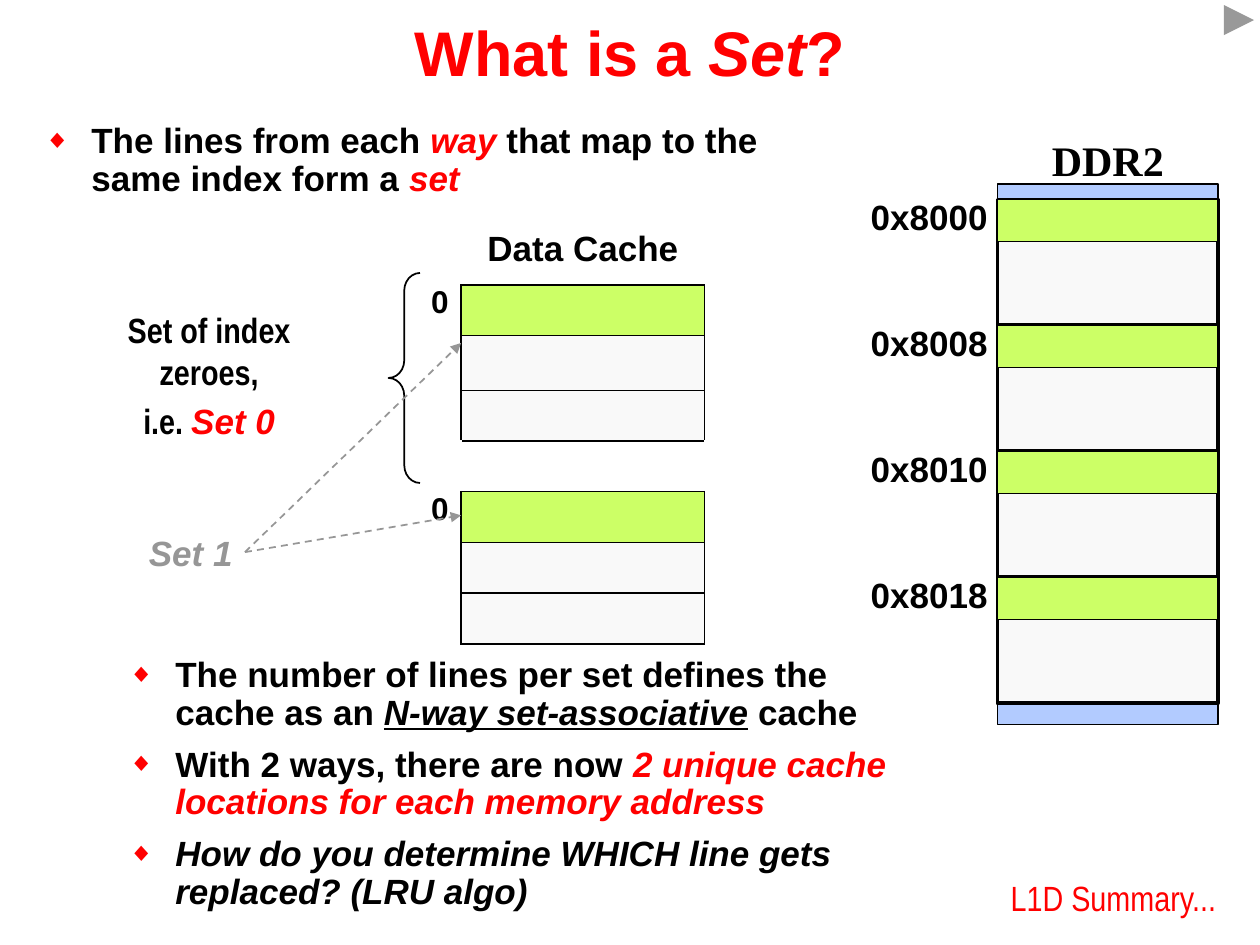
from dataclasses import dataclass

from lxml import etree
from pptx import Presentation
from pptx.dml.color import RGBColor
from pptx.enum import dml, shapes, text
from pptx.oxml import ns
from pptx.util import Pt

RED = RGBColor(0xFF, 0x00, 0x00)
BLACK = RGBColor(0x00, 0x00, 0x00)
WHITE = RGBColor(0xFF, 0xFF, 0xFF)
GRAY = RGBColor(0x96, 0x96, 0x96)
BLUE = RGBColor(0x66, 0x99, 0xFF)
GREEN = RGBColor(0xCC, 0xFF, 0x66)
PALE = RGBColor(0xF9, 0xF9, 0xF9)

CENTER, RIGHT = text.PP_ALIGN.CENTER, text.PP_ALIGN.RIGHT
TOP, MIDDLE, BOTTOM = (text.MSO_ANCHOR.TOP, text.MSO_ANCHOR.MIDDLE,
                       text.MSO_ANCHOR.BOTTOM)


@dataclass(frozen=True)
class Box:
    left: float
    top: float
    width: float
    height: float

    def emu(self) -> tuple:
        return Pt(self.left), Pt(self.top), Pt(self.width), Pt(self.height)


@dataclass(frozen=True)
class Span:
    words: str
    color: RGBColor | None = None
    italic: bool | None = None
    underline: bool | None = None
    face: str | None = None


@dataclass(frozen=True)
class Style:
    size: float = 20
    face: str = "Arial"
    color: RGBColor = BLACK
    bold: bool = True
    align: text.PP_ALIGN | None = CENTER
    spacing: float = 1.0


BULLET = Style(align=None, spacing=0.9)
TIGHT = Style(spacing=0.8)


def child(parent, tag: str, **attributes: str):
    return etree.SubElement(parent, ns.qn(tag), attributes)


def write(paragraph, spans: list[Span], style: Style, before: float = 0) -> None:
    paragraph.alignment = style.align
    paragraph.line_spacing = style.spacing
    paragraph.space_before = Pt(before)
    font = paragraph.font
    font.size, font.name, font.bold = Pt(style.size), style.face, style.bold
    font.color.rgb = style.color
    for span in spans:
        run = paragraph.add_run()
        run.text = span.words
        run.font.italic, run.font.underline = span.italic, span.underline
        if span.color is not None:
            run.font.color.rgb = span.color
        if span.face:
            run.font.name = span.face


def add_label(slide, box: Box, spans: list[Span], style: Style,
              anchor=TOP, inset: bool = True):
    label = slide.shapes.add_textbox(*box.emu())
    frame = label.text_frame
    frame.word_wrap, frame.vertical_anchor = False, anchor
    if not inset:
        frame.margin_left = frame.margin_right = 0
        frame.margin_top = frame.margin_bottom = 0
    write(frame.paragraphs[0], spans, style)
    return label


def fill_bullets(body, box: Box, items: list[list[Span]]) -> None:
    body.left, body.top, body.width, body.height = box.emu()
    frame = body.text_frame
    frame.auto_size = text.MSO_AUTO_SIZE.NONE
    for i, spans in enumerate(items):
        paragraph = frame.add_paragraph() if i else frame.paragraphs[0]
        props = paragraph._p.get_or_add_pPr()
        props.set("marL", str(Pt(27)))
        props.set("indent", str(-Pt(27)))
        child(child(props, "a:buClr"), "a:srgbClr", val=str(RED))
        child(props, "a:buSzPct", val="75000")
        child(props, "a:buChar", char="◆")
        write(paragraph, spans, BULLET, before=8 if i else 0)


def add_shape(slide, kind, box: Box, fill: RGBColor | None = None,
              line_width: float | None = 1):
    shape = slide.shapes.add_shape(kind, *box.emu())
    shape.shadow.inherit = False
    if fill is None:
        shape.fill.background()
    else:
        shape.fill.solid()
        shape.fill.fore_color.rgb = fill
    if line_width is None:
        shape.line.fill.background()
    else:
        shape.line.color.rgb, shape.line.width = BLACK, Pt(line_width)
    return shape


def border(cell, sides: str) -> None:
    props = cell._tc.get_or_add_tcPr()
    for i, side in enumerate(sides):
        line = etree.Element(ns.qn(f"a:ln{side}"), {"w": str(Pt(1))})
        child(child(line, "a:solidFill"), "a:srgbClr", val=str(BLACK))
        props.insert(i, line)


def add_cache(slide) -> None:
    widths = [111.6, 61.2, 139.2]
    heights = [31, 29, 31.5, 28.5, 28.5, 29, 29, 29]
    line_fills = [None, GREEN, PALE, PALE, None, GREEN, PALE, PALE]
    box = Box(90.7, 131.8, sum(widths), sum(heights))
    table = slide.shapes.add_table(len(heights), len(widths), *box.emu()).table
    table.first_row = table.horz_banding = False
    for column, width in zip(table.columns, widths):
        column.width = Pt(width)
    for row, height in zip(table.rows, heights):
        row.height = Pt(height)
    for cell in table.iter_cells():
        cell.fill.background()
    for r, fill in enumerate(line_fills):
        line = table.cell(r, 2)
        if fill is not None:
            border(line, "LRTB")
            border(table.cell(r, 1), "R")
            line.fill.solid()
            line.fill.fore_color.rgb = fill
        else:
            border(line, "TB" if r else "B")
        if fill == GREEN:
            write(table.cell(r, 1).text_frame.paragraphs[0], [Span("0")],
                  Style(18, align=RIGHT, spacing=0.8))
    write(table.cell(0, 2).text_frame.paragraphs[0], [Span("Data Cache")], TIGHT)


def add_memory(slide) -> None:
    left, top, width, block, line = 570, 114, 126, 72, 24
    rectangle = shapes.MSO_SHAPE.RECTANGLE
    memory = add_shape(slide, rectangle, Box(left, 105, width, 309), BLUE)
    color = memory.fill._xPr.find(".//" + ns.qn("a:srgbClr"))
    child(color, "a:alpha", val="50000")
    addresses = ["0x8000", "0x8008", "0x8010", "0x8018"]
    tops = [top + block * i for i in range(len(addresses))]
    for y in tops:
        add_shape(slide, rectangle, Box(left, y, width, block), PALE, 2.25)
    for y, address in zip(tops, addresses):
        add_shape(slide, rectangle, Box(left, y, width, line), GREEN)
        add_label(slide, Box(496, y, 70, line), [Span(address)], TIGHT,
                  MIDDLE, False)
    add_label(slide, Box(593.5, 79.2, 79, 31), [Span("DDR2")],
              Style(24, "Times New Roman", spacing=0.8))


def add_set_arrow(slide, source, x: float, y: float) -> None:
    arrow = slide.shapes.add_connector(
        shapes.MSO_CONNECTOR.STRAIGHT, Pt(140), Pt(315.5), Pt(x), Pt(y))
    arrow.begin_connect(source, 3)
    arrow.line.color.rgb, arrow.line.width = GRAY, Pt(1)
    arrow.line.dash_style = dml.MSO_LINE.DASH
    child(arrow.line._get_or_add_ln(), "a:tailEnd", type="triangle")
    child(arrow._element.spPr, "a:effectLst")


def main() -> None:
    deck = Presentation()
    deck.slide_width, deck.slide_height = Pt(720), Pt(540)
    slide = deck.slides.add_slide(deck.slide_layouts[3])
    title, definition, details = slide.placeholders

    title.left, title.top, title.width, title.height = Box(0, 0, 720, 58.5).emu()
    title.text_frame.vertical_anchor = MIDDLE
    write(title.text_frame.paragraphs[0],
          [Span("What is a "), Span("Set", italic=True), Span("?")],
          Style(36, color=RED))
    fill_bullets(definition, Box(18, 67, 474, 50), [
        [Span("The lines from each "), Span("way", RED, True),
         Span(" that map to the same index form a "), Span("set", RED, True)]])
    fill_bullets(details, Box(66, 372, 456, 158), [
        [Span("The number of lines per set defines the cache as an "),
         Span("N-way set-associative", italic=True, underline=True),
         Span(" cache")],
        [Span("With 2 ways, there are now "),
         Span("2 unique cache locations for each memory address", RED, True)],
        [Span("How do you determine WHICH line gets replaced? (LRU algo)",
              italic=True)]])

    add_memory(slide)
    add_cache(slide)
    brace = add_shape(slide, shapes.MSO_SHAPE.LEFT_BRACE, Box(222, 156, 18, 120))
    brace.adjustments[0] = 0.56

    narrow = Style(face="Arial Narrow")
    index_set = add_label(slide, Box(35.3, 173, 168.5, 60),
                          [Span("Set of index")], narrow).text_frame
    index_set.paragraphs[0].add_line_break()
    index_set.paragraphs[0].add_run().text = "zeroes,"
    write(index_set.add_paragraph(),
          [Span("i.e. "), Span("Set 0", RED, True, face="Arial")], narrow, before=4)

    next_set = add_label(slide, Box(78, 300, 62, 31), [Span("Set 1", italic=True)],
                         Style(color=GRAY), MIDDLE, False)
    for y in (196, 294.5):
        add_set_arrow(slide, next_set, 263.5, y)

    add_shape(slide, shapes.MSO_SHAPE.ACTION_BUTTON_FORWARD_OR_NEXT,
              Box(696, 0, 24, 23), WHITE, None)
    add_label(slide, Box(577, 505.5, 118, 19.5), [Span("L1D Summary...")],
              Style(20, "Arial Narrow", RED, False, RIGHT, 0.8), BOTTOM, False)
    deck.save("out.pptx")


if __name__ == "__main__":
    main()
